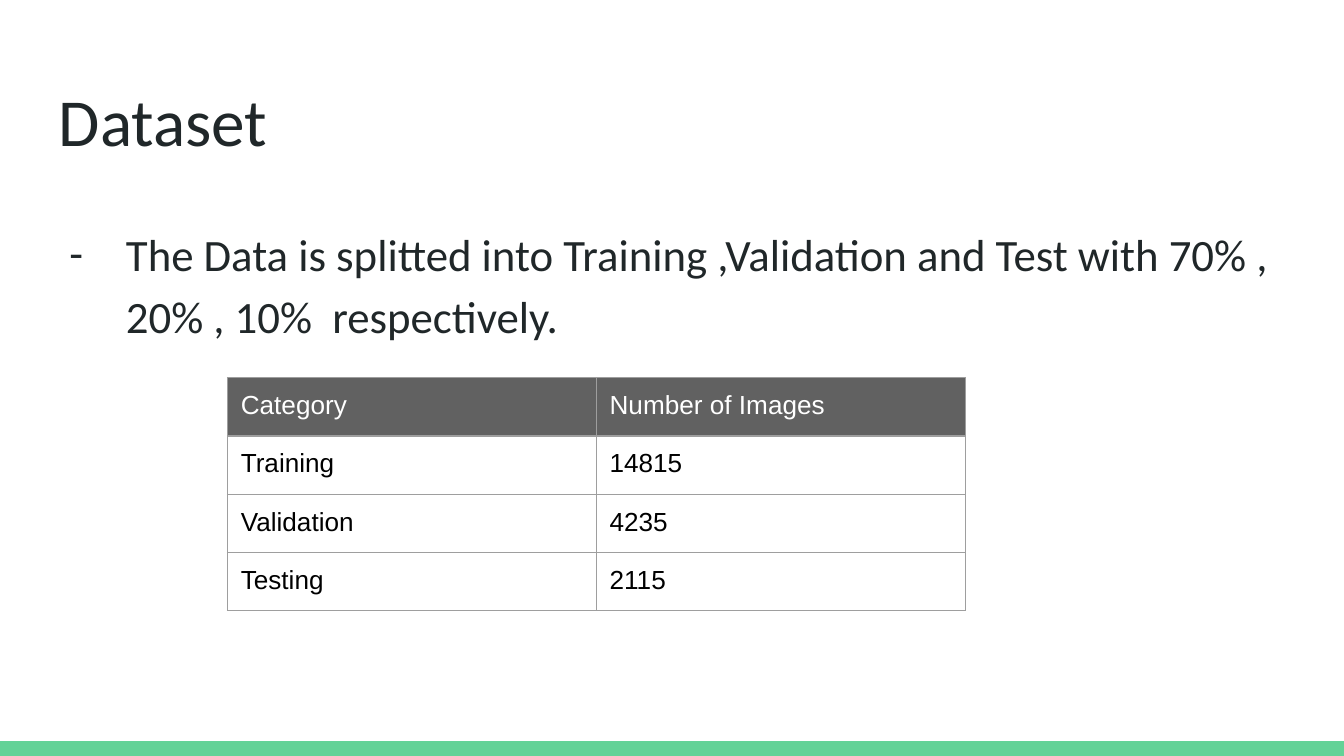
"""Build the Dataset slide: the split sentence and the image counts per category."""
import dataclasses

import lxml.etree
import pptx
import pptx.dml.color
import pptx.enum.shapes
import pptx.enum.text
import pptx.oxml.ns
import pptx.util

Cm = pptx.util.Cm
qn = pptx.oxml.ns.qn


@dataclasses.dataclass(frozen=True)
class Theme:
    ink: str = "202729"
    accent: str = "63D297"
    header: str = "616161"
    header_ink: str = "FFFFFF"
    cell_ink: str = "000000"
    border: str = "9E9E9E"
    border_width: float = 0.75
    title_size: int = 36
    body_size: int = 24
    table_size: int = 14
    text_font: str = "Calibri"
    table_font: str = "Arial"


theme = Theme()
rgb = pptx.dml.color.RGBColor.from_string


def write(frame, text, *, size, color, font, spacing=1.0):
    """Put one formatted, left-aligned paragraph into a text frame."""
    frame.word_wrap = True
    frame.vertical_anchor = pptx.enum.text.MSO_ANCHOR.TOP
    for side in ("left", "right", "top", "bottom"):
        setattr(frame, f"margin_{side}", Cm(0.25))
    paragraph = frame.paragraphs[0]
    paragraph.alignment = pptx.enum.text.PP_ALIGN.LEFT
    paragraph.line_spacing = spacing
    paragraph.space_before = paragraph.space_after = pptx.util.Pt(0)
    run = paragraph.add_run()
    run.text = text
    run.font.size = pptx.util.Pt(size)
    run.font.name = font
    run.font.color.rgb = rgb(color)
    return paragraph


def add_borders(cell):
    """Draw a thin line on all four sides of a table cell."""
    properties = cell._tc.get_or_add_tcPr()
    for side in ("lnL", "lnR", "lnT", "lnB"):
        width = str(pptx.util.Pt(theme.border_width))
        line = lxml.etree.SubElement(properties, qn(f"a:{side}"), w=width)
        fill = lxml.etree.SubElement(line, qn("a:solidFill"))
        lxml.etree.SubElement(fill, qn("a:srgbClr"), val=theme.border)


deck = pptx.Presentation()
deck.slide_width, deck.slide_height = Cm(25.4), Cm(14.29)
slide = deck.slides.add_slide(deck.slide_layouts[1])

footer_height = Cm(0.28)
footer = slide.shapes.add_shape(
    pptx.enum.shapes.MSO_SHAPE.RECTANGLE,
    0, deck.slide_height - footer_height, deck.slide_width, footer_height)
footer.shadow.inherit = False
footer.fill.solid()
footer.fill.fore_color.rgb = rgb(theme.accent)
footer.line.fill.background()

heading, split = slide.placeholders
for part, top, height in ((heading, 1.24, 1.6), (split, 3.89, 8.81)):
    part.left, part.top = Cm(0.86), Cm(top)
    part.width, part.height = Cm(23.67), Cm(height)
    part.text_frame.auto_size = pptx.enum.text.MSO_AUTO_SIZE.NONE

write(heading.text_frame, "Dataset",
      size=theme.title_size, color=theme.ink, font=theme.text_font)
sentence = write(
    split.text_frame,
    "The Data is splitted into Training ,Validation and Test with 70% , 20% , 10%  respectively.",
    size=theme.body_size, color=theme.ink, font=theme.text_font, spacing=1.15)

bullet = sentence._p.get_or_add_pPr()
bullet.set("marL", str(Cm(1.27)))
bullet.set("indent", str(Cm(-1.07)))
bullet_color = lxml.etree.SubElement(bullet, qn("a:buClr"))
lxml.etree.SubElement(bullet_color, qn("a:srgbClr"), val=theme.ink)
lxml.etree.SubElement(bullet, qn("a:buFont"), typeface=theme.text_font)
lxml.etree.SubElement(bullet, qn("a:buChar"), char="-")

counts = (
    ("Category", "Number of Images"),
    ("Training", "14815"),
    ("Validation", "4235"),
    ("Testing", "2115"),
)
column_width, row_height = Cm(6.97), Cm(1.1)
count_table = slide.shapes.add_table(
    len(counts), 2, Cm(4.3), Cm(7.14),
    2 * column_width, len(counts) * row_height).table
count_table.first_row = count_table.horz_banding = False

for row, values in enumerate(counts):
    for column, value in enumerate(values):
        cell = count_table.cell(row, column)
        add_borders(cell)
        if row == 0:
            cell.fill.solid()
            cell.fill.fore_color.rgb = rgb(theme.header)
        else:
            cell.fill.background()
        for side in ("left", "right", "top", "bottom"):
            setattr(cell, f"margin_{side}", Cm(0.25))
        write(cell.text_frame, value, size=theme.table_size,
              color=theme.cell_ink if row else theme.header_ink,
              font=theme.table_font)

deck.save("out.pptx")
